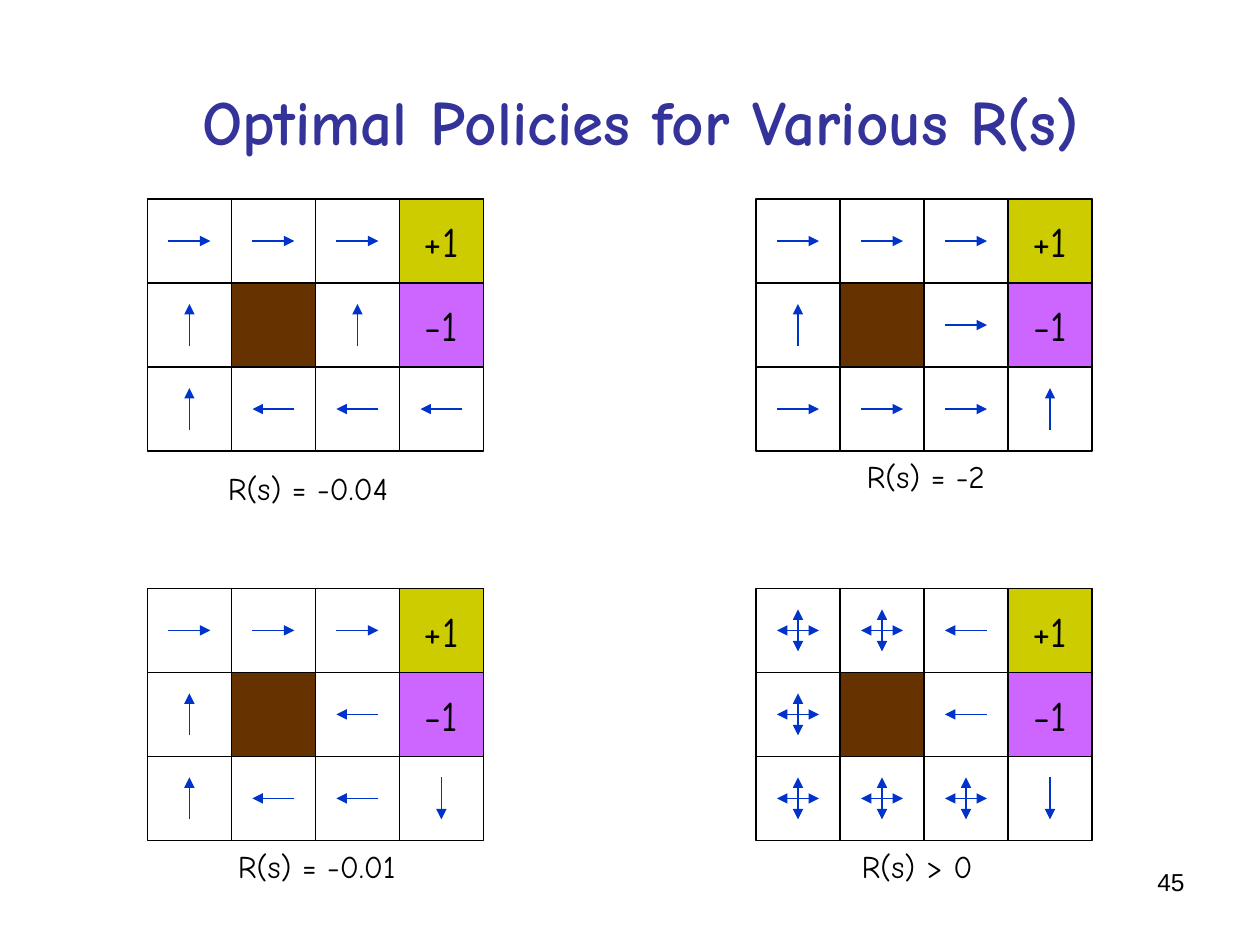
from lxml.etree import SubElement
from pptx import Presentation
from pptx.dml.color import RGBColor
from pptx.enum.shapes import MSO_CONNECTOR, MSO_SHAPE
from pptx.enum.text import MSO_ANCHOR, PP_ALIGN
from pptx.oxml.ns import qn
from pptx.util import Inches, Pt

BLACK, ARROW_BLUE, TITLE_BLUE = "000000", "0033CC", "333399"
WALL, GOAL, PIT = "663300", "CCCC00", "CC66FF"
ROWS, COLUMNS = 3, 4
CELL = 2 / 3
REACH = CELL / 4  # half the length of an arrow
STEPS = {">": (1, 0), "<": (-1, 0), "^": (0, -1), "v": (0, 1)}

# Grid left, grid top, moves by row (* goes all ways), caption, its left, top, width
POLICIES = [
    (1.17, 1.58, (">>> ", "^ ^ ", "^<<<"), "R(s) = -0.04", 1.71, 3.67, 1.47),
    (6, 1.58, (">>> ", "^ > ", ">>>^"), "R(s) = -2", 6.78, 3.58, 1.14),
    (1.17, 4.67, (">>> ", "^ < ", "^<<v"), "R(s) = -0.01", 1.79, 6.67, 1.45),
    (6, 4.67, ("**< ", "* < ", "***v"), "R(s) > 0", 6.74, 6.67, 1.08),
]


def color(value):
    return RGBColor.from_string(value)


def write(shape, text, size, font="Comic Neue", ink=BLACK, align=PP_ALIGN.LEFT,
          anchor=MSO_ANCHOR.TOP, bold=False, wrap=False):
    frame = shape.text_frame
    frame.word_wrap = wrap
    frame.vertical_anchor = anchor
    para = frame.paragraphs[0]
    para.text = text
    para.alignment = align
    para.font.name = font
    para.font.size = Pt(size)
    para.font.bold = bold
    para.font.color.rgb = color(ink)


def add_text(shapes, left, top, width, height, text, size, **style):
    box = shapes.add_textbox(Inches(left), Inches(top), Inches(width), Inches(height))
    write(box, text, size, **style)


def add_box(shapes, left, top, width, height, fill=None, text=None):
    box = shapes.add_shape(MSO_SHAPE.RECTANGLE, Inches(left), Inches(top),
                           Inches(width), Inches(height))
    box.shadow.inherit = False
    box.line.color.rgb = color(BLACK)
    box.line.width = Pt(0.75)
    if fill:
        box.fill.solid()
        box.fill.fore_color.rgb = color(fill)
    else:
        box.fill.background()
    if text:
        write(box, text, 24, align=PP_ALIGN.CENTER, anchor=MSO_ANCHOR.MIDDLE)


def add_line(shapes, x1, y1, x2, y2, ink=BLACK, ends=()):
    """Draw a line; ends may name headEnd and tailEnd, in that order."""
    line = shapes.add_connector(MSO_CONNECTOR.STRAIGHT, Inches(x1), Inches(y1),
                                Inches(x2), Inches(y2))
    line.line.color.rgb = color(ink)
    line.line.width = Pt(0.75)
    outline = line.line._get_or_add_ln()
    for end in ends:
        SubElement(outline, qn(f"a:{end}"), type="triangle")
    SubElement(line._element.spPr, qn("a:effectLst"))


def add_move(shapes, x, y, move):
    """Draw the arrow, or the four-way cross, centred on x, y."""
    directions, ends = move, ("tailEnd",)
    if move == "*":
        directions, ends = "^>", ("headEnd", "tailEnd")
    for direction in directions:
        dx, dy = (step * REACH for step in STEPS[direction])
        add_line(shapes, x - dx, y - dy, x + dx, y + dy, ARROW_BLUE, ends)


def add_policy(page, left, top, moves):
    shapes = page.shapes.add_group_shape().shapes
    width, height = COLUMNS * CELL, ROWS * CELL
    add_box(shapes, left, top, width, height)
    for column in range(1, COLUMNS):
        x = left + column * CELL
        add_line(shapes, x, top, x, top + height)
    for row in range(1, ROWS):
        y = top + row * CELL
        add_line(shapes, left, y, left + width, y)
    for column, row, fill, text in ((1, 1, WALL, None), (3, 0, GOAL, "+1"),
                                    (3, 1, PIT, "-1")):
        add_box(shapes, left + column * CELL, top + row * CELL, CELL, CELL, fill, text)
    for row, line in enumerate(moves):
        for column, move in enumerate(line):
            if move != " ":
                add_move(shapes, left + (column + 0.5) * CELL,
                         top + (row + 0.5) * CELL, move)


def main():
    deck = Presentation()
    deck.slide_width, deck.slide_height = Inches(10), Inches(7.5)
    page = deck.slides.add_slide(deck.slide_layouts[6])
    add_text(page.shapes, 0.67, 0.33, 8.83, 1.25, "Optimal Policies for Various R(s)",
             36, ink=TITLE_BLUE, align=PP_ALIGN.CENTER, anchor=MSO_ANCHOR.MIDDLE,
             bold=True, wrap=True)
    for left, top, moves, caption, text_left, text_top, text_width in POLICIES:
        add_policy(page, left, top, moves)
        add_text(page.shapes, text_left, text_top, text_width, 0.4, caption, 18)
    add_text(page.shapes, 7.17, 6.83, 2.33, 0.52, "45", 14, font="Arial",
             align=PP_ALIGN.RIGHT, wrap=True)
    deck.save("out.pptx")


if __name__ == "__main__":
    main()
